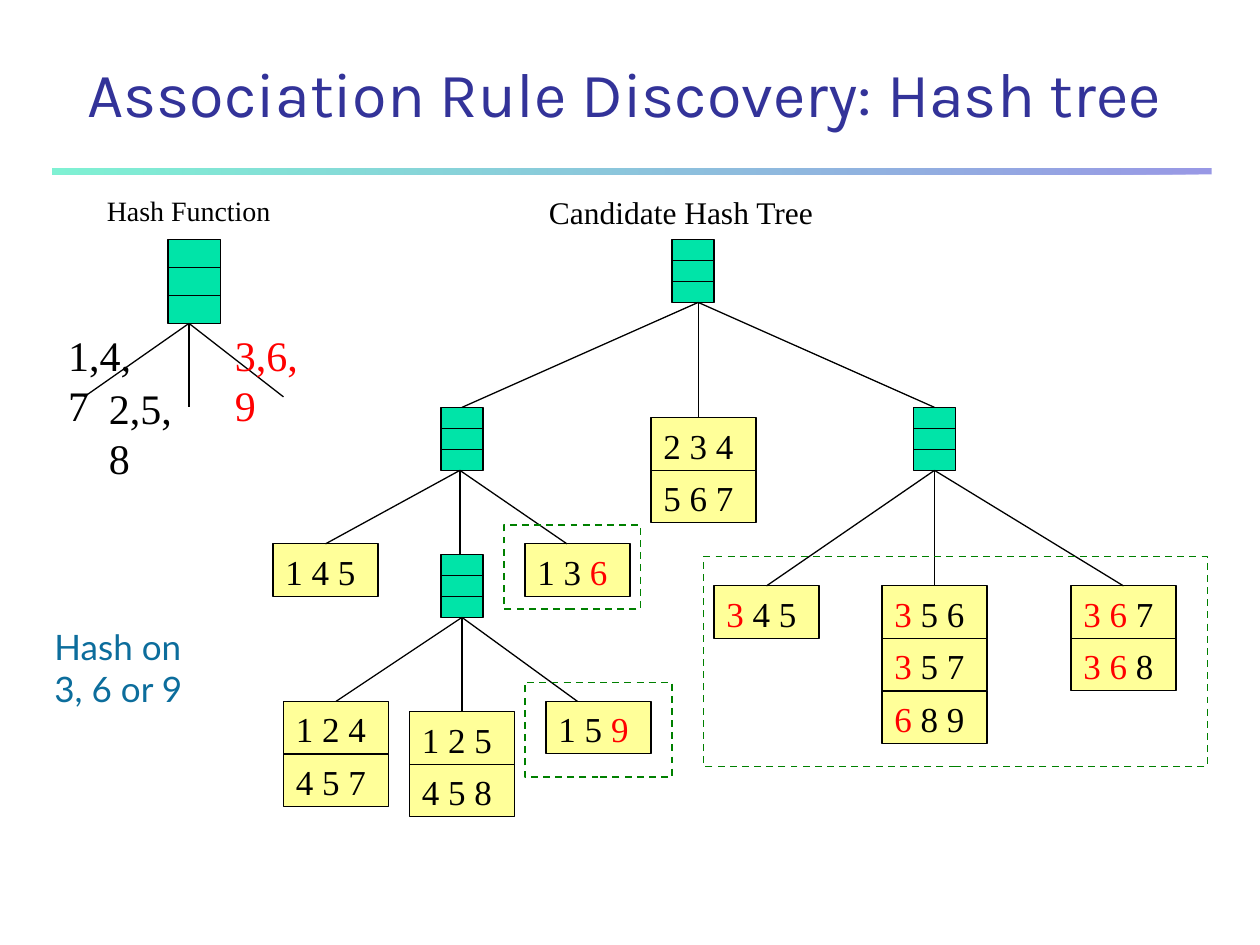
from dataclasses import dataclass

from lxml import etree
from pptx import Presentation
from pptx.dml.color import RGBColor
from pptx.enum.dml import MSO_LINE
from pptx.enum.shapes import MSO_CONNECTOR, MSO_SHAPE
from pptx.enum.text import MSO_ANCHOR, MSO_AUTO_SIZE, PP_ALIGN
from pptx.oxml.ns import qn
from pptx.util import Inches, Pt


@dataclass(frozen=True)
class Theme:
    title: str = "333399"
    ink: str = "000000"
    mark: str = "FF0000"
    note: str = "0C6D9C"
    bin: str = "00E4A8"
    leaf: str = "FFFF99"
    frame: str = "008000"
    bar: tuple = ("3333CC", "00E4A8")
    title_font: str = "Karla"
    serif: str = "Times New Roman"
    note_font: str = "Lato"
    title_size: int = 36
    bucket_size: int = 24
    item_size: int = 20
    tree_size: int = 18
    function_size: int = 16
    line: float = 0.75
    frame_line: float = 1


THEME = Theme()
CELL = Inches(1) / 12     # the slide is 120 columns by 90 rows
TREE_ROW = 22.8           # row of the tree's root
LEAF_W, LEAF_H = 10, 5


def grid(n):
    return round(n * CELL)


def rgb(value):
    return RGBColor.from_string(value)


def add_rect(slide, col, row, cols, rows, fill=None):
    sp = slide.shapes.add_shape(MSO_SHAPE.RECTANGLE, *map(grid, (col, row, cols, rows)))
    sp.shadow.inherit = False
    if fill:
        sp.fill.solid()
        sp.fill.fore_color.rgb = rgb(fill)
    else:
        sp.fill.background()
    sp.line.color.rgb = rgb(THEME.ink)
    sp.line.width = Pt(THEME.line)
    return sp


def add_line(slide, col1, row1, col2, row2):
    line = slide.shapes.add_connector(
        MSO_CONNECTOR.STRAIGHT, *map(grid, (col1, row1, col2, row2)))
    line.line.color.rgb = rgb(THEME.ink)
    line.line.width = Pt(THEME.line)
    etree.SubElement(line._element.spPr, qn("a:effectLst"))
    return line


def write(tf, text, size, font=THEME.serif, color=THEME.ink):
    """Write one paragraph; every second part between bars is marked."""
    p = tf.paragraphs[0]
    p.alignment = PP_ALIGN.LEFT
    for i, part in enumerate(text.split("|")):
        if part:
            r = p.add_run()
            r.text = part
            r.font.size = Pt(size)
            r.font.name = font
            r.font.color.rgb = rgb(THEME.mark if i % 2 else color)


def add_label(slide, col, row, cols, rows, text, size, wrap=False, **style):
    box = slide.shapes.add_textbox(*map(grid, (col, row, cols, rows)))
    box.text_frame.word_wrap = wrap
    write(box.text_frame, text, size, **style)


def add_bin(slide, col, row, cols=4, rows=6):
    """A hash node: a box cut into three buckets."""
    sp = add_rect(slide, col, row, cols, rows, THEME.bin)
    for k in (1, 2):
        y = row + k * rows / 3
        add_line(slide, col, y, col + cols, y)
    return sp


def add_leaf(slide, col, row, items):
    """A stack of itemsets; returns the top one."""
    stack = []
    for k, item in enumerate(items):
        sp = add_rect(slide, col, row + k * LEAF_H, LEAF_W, LEAF_H, THEME.leaf)
        tf = sp.text_frame
        tf.word_wrap = True
        tf.vertical_anchor = MSO_ANCHOR.TOP
        write(tf, item, THEME.item_size)
        stack.append(sp)
    return stack[0]


def add_branch(slide, parent, child, start=0, end=0):
    """Join two nodes; an end shifted off the middle by some columns stays free."""
    x1 = (parent.left + parent.width / 2) / CELL + start
    x2 = (child.left + child.width / 2) / CELL + end
    line = add_line(slide, x1, (parent.top + parent.height) / CELL, x2, child.top / CELL)
    if not start:
        line.begin_connect(parent, 2)
    if not end:
        line.end_connect(child, 0)


def add_frame(slide, col, row, cols, rows):
    sp = add_rect(slide, col, row, cols, rows)
    sp.line.color.rgb = rgb(THEME.frame)
    sp.line.width = Pt(THEME.frame_line)
    sp.line.dash_style = MSO_LINE.DASH


def add_heading(slide):
    # Half-transparent gradient bar
    bar = add_rect(slide, 5, 16, 110.4, 0.6)
    bar.line.fill.background()
    bar.fill.gradient()
    bar.fill.gradient_angle = 180
    for stop, color in zip(bar.fill.gradient_stops, THEME.bar):
        stop.color.rgb = rgb(color)
    for color in bar._element.spPr.iter(qn("a:srgbClr")):
        etree.SubElement(color, qn("a:alpha"), val="50000")

    # Title
    title = slide.shapes.title
    title.left, title.top, title.width, title.height = map(grid, (5, 5, 109, 8))
    tf = title.text_frame
    tf.auto_size = MSO_AUTO_SIZE.NONE
    tf.vertical_anchor = MSO_ANCHOR.BOTTOM
    tf.text = "Association Rule Discovery: Hash tree"
    p = tf.paragraphs[0]
    p.alignment = PP_ALIGN.CENTER
    font = p.runs[0].font
    font.name, font.size = THEME.title_font, Pt(THEME.title_size)
    font.color.rgb = rgb(THEME.title)


def add_hash_function(slide):
    add_label(slide, 9, 17.8, 18, 4.4, "Hash Function", THEME.function_size)
    add_bin(slide, 16, TREE_ROW, 5, 8)
    fork = TREE_ROW + 8
    for col, row in ((8, 37.8), (18, 38.8), (27, 37.8)):
        add_line(slide, 18, fork, col, row)
    for col, row, text in ((5.3, 30.8, "1,4,7"), (9.2, 35.8, "2,5,8"), (21.2, 30.8, "|3,6,9")):
        add_label(slide, col, row, 10.3, 6, text, THEME.bucket_size)
    add_label(slide, 4, 59, 15, 13.2, "Hash on 3, 6 or 9", THEME.item_size,
              wrap=True, font=THEME.note_font, color=THEME.note)


def add_tree(slide):
    add_label(slide, 51.1, 17.8, 27.7, 4.8, "Candidate Hash Tree", THEME.tree_size)

    # Nodes: column, and row below the root
    bins = {"root": (64, 0), "left": (42, 16), "right": (87, 16), "low": (42, 30)}
    leaves = {
        "234": (62, 17, ["2 3 4", "5 6 7"]),
        "145": (26, 29, ["1 4 5"]),
        "136": (50, 29, ["1 3 |6"]),
        "345": (68, 33, ["|3| 4 5"]),
        "356": (84, 33, ["|3| 5 6", "|3| 5 7", "|6| 8 9"]),
        "367": (102, 33, ["|3 6| 7", "|3 6| 8"]),
        "124": (27, 44, ["1 2 4", "4 5 7"]),
        "125": (39, 45, ["1 2 5", "4 5 8"]),
        "159": (52, 44, ["1 5 |9"]),
    }
    nodes = {name: add_bin(slide, col, TREE_ROW + row) for name, (col, row) in bins.items()}
    for name, (col, row, items) in leaves.items():
        nodes[name] = add_leaf(slide, col, TREE_ROW + row, items)

    # Branches: parent, shift of the fork, then children with the shift of each end
    branches = (
        ("root", 0.5, {"left": 0, "234": -0.5, "right": 0}),
        ("left", -0.2, {"145": 0, "low": -0.2, "136": -1}),
        ("right", 0, {"345": 0, "356": 0, "367": 0}),
        ("low", 0, {"124": 0, "125": 0, "159": -2}),
    )
    for parent, start, children in branches:
        for child, end in children.items():
            add_branch(slide, nodes[parent], nodes[child], start, end)

    # Candidates reached through 3, 6 or 9
    for frame in ((50, 65, 14, 9), (67, 53, 48, 20), (48, 50, 13, 8)):
        add_frame(slide, *frame)


def main():
    prs = Presentation()
    prs.slide_width, prs.slide_height = Inches(10), Inches(7.5)
    slide = prs.slides.add_slide(prs.slide_layouts[5])
    add_heading(slide)
    add_hash_function(slide)
    add_tree(slide)
    prs.save("out.pptx")


if __name__ == "__main__":
    main()
